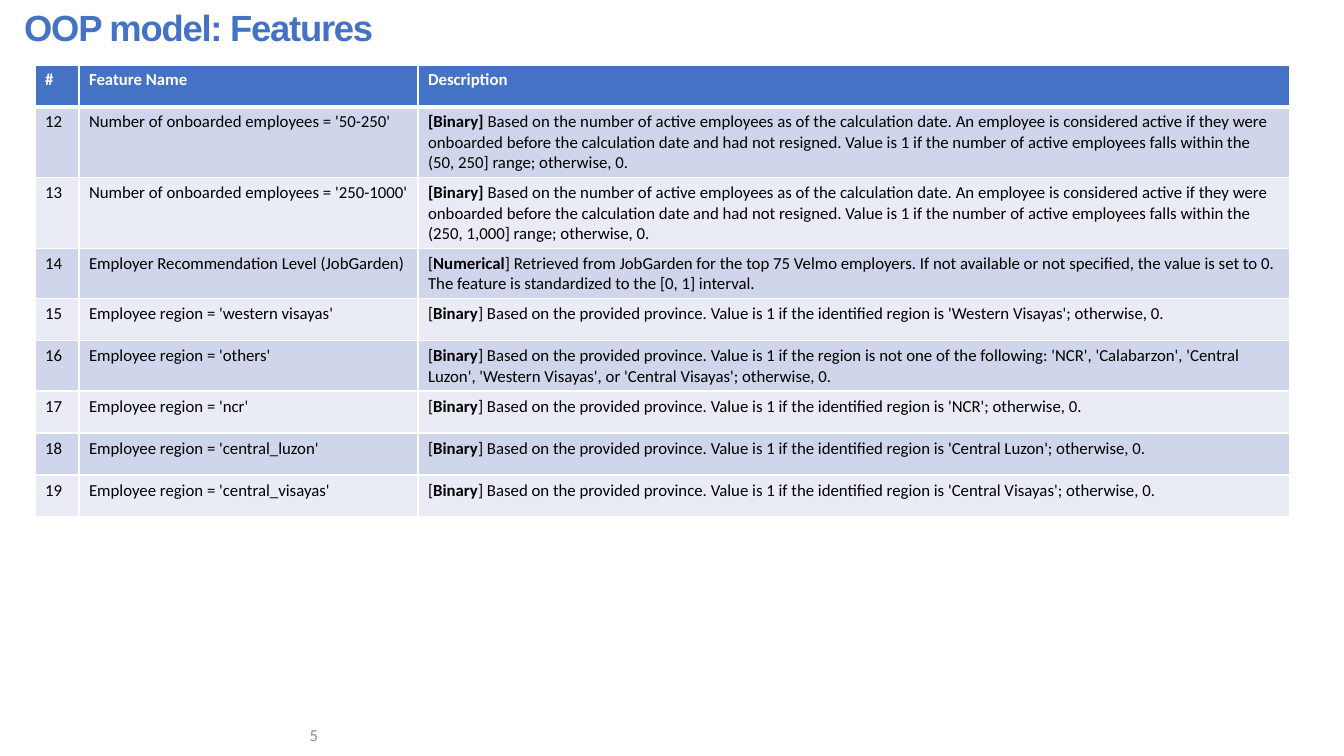
from lxml import etree
from pptx import Presentation, util as u
from pptx.dml.color import RGBColor
from pptx.enum import text
from pptx.oxml import ns

PX = 914400 / 100.8
TITLE = "OOP model: Features"
PAGE = "5"
HEADER = ("#", "Feature Name", "Description")
FIRST_NUMBER = 12

# Text between ** marks is bold.
HEADCOUNT = ("**[Binary]** Based on the number of active employees as of the calculation date. "
             "An employee is considered active if they were onboarded before the calculation date "
             "and had not resigned. Value is 1 if the number of active employees falls within the "
             "({}] range; otherwise, 0.")
PROVINCE = "[**Binary**] Based on the provided province. Value is 1 if the {}; otherwise, 0."
REGION = PROVINCE.format("identified region is '{}'")
FEATURES = [
    ("Number of onboarded employees = '50-250'", HEADCOUNT.format("50, 250")),
    ("Number of onboarded employees = '250-1000'", HEADCOUNT.format("250, 1,000")),
    ("Employer Recommendation Level (JobGarden)",
     "[**Numerical**] Retrieved from JobGarden for the top 75 Velmo employers. If not available "
     "or not specified, the value is set to 0. The feature is standardized to the [0, 1] interval."),
    ("Employee region = 'western visayas'", REGION.format("Western Visayas")),
    ("Employee region = 'others'",
     PROVINCE.format("region is not one of the following: 'NCR', 'Calabarzon', "
                     "'Central Luzon', 'Western Visayas', or 'Central Visayas'")),
    ("Employee region = 'ncr'", REGION.format("NCR")),
    ("Employee region = 'central_luzon'", REGION.format("Central Luzon")),
    ("Employee region = 'central_visayas'", REGION.format("Central Visayas")),
]

BLUE, WHITE, BLACK, GREY = "4472C4", "FFFFFF", "000000", "8C8C8C"
BANDS = ("CFD5EA", "E9EBF5")
COLUMNS = (44, 339, 872)
ROW = 42
TABLE_LEFT, TABLE_TOP = 35, 65


def px(*lengths):
    return [u.Emu(round(n * PX)) for n in lengths]


def rgb(value):
    return RGBColor.from_string(value)


def write(p, content, color, **font):
    """Add content to a paragraph, with the parts between ** marks in bold."""
    for i, part in enumerate(content.split("**")):
        if part:
            r = p.add_run()
            r.text = part
            for name, value in {"name": "Calibri", "size": u.Pt(12), "bold": i % 2 == 1, **font}.items():
                setattr(r.font, name, value)
            r.font.color.rgb = rgb(color)


def set_borders(cell, widths):
    """Draw white cell borders; widths in points are in the order left, right, top, bottom."""
    tc_pr = cell._tc.get_or_add_tcPr()
    for i, (side, width) in enumerate(zip("LRTB", widths)):
        ln = etree.Element(ns.qn(f"a:ln{side}"), w=str(u.Pt(width)))
        fill = etree.SubElement(ln, ns.qn("a:solidFill"))
        etree.SubElement(fill, ns.qn("a:srgbClr"), val=WHITE)
        tc_pr.insert(i, ln)


def add_title(s):
    title = s.shapes.title
    title.left, title.top, title.width, title.height = px(14, 0, 1280, 54)
    tf = title.text_frame
    tf.vertical_anchor = text.MSO_ANCHOR.BOTTOM
    p = tf.paragraphs[0]
    p.alignment = text.PP_ALIGN.LEFT
    write(p, TITLE, BLUE, name="Arial", size=u.Pt(26), bold=True)
    p.runs[0]._r.get_or_add_rPr().set("spc", "-90")


def add_features(s):
    rows = [HEADER] + [(str(n), *f) for n, f in enumerate(FEATURES, FIRST_NUMBER)]
    box = px(TABLE_LEFT, TABLE_TOP, sum(COLUMNS), ROW * len(rows))
    table = s.shapes.add_table(len(rows), len(COLUMNS), *box).table
    for column, width in zip(table.columns, px(*COLUMNS)):
        column.width = width
    for i, row in enumerate(rows):
        table.rows[i].height = px(ROW)[0]
        for j, content in enumerate(row):
            cell = table.cell(i, j)
            cell.fill.solid()
            cell.fill.fore_color.rgb = rgb(BANDS[(i - 1) % 2] if i else BLUE)
            set_borders(cell, (1, 1, 3 if i == 1 else 1, 1 if i else 3))
            p = cell.text_frame.paragraphs[0]
            if i:
                write(p, content, BLACK)
            else:
                write(p, content, WHITE, bold=True)


def add_page_number(s):
    tf = s.shapes.add_textbox(*px(34, 722, 294, 25)).text_frame
    tf.word_wrap = True
    tf.vertical_anchor = text.MSO_ANCHOR.MIDDLE
    p = tf.paragraphs[0]
    p.alignment = text.PP_ALIGN.RIGHT
    write(p, PAGE, GREY)


def main():
    prs = Presentation()
    prs.slide_width, prs.slide_height = px(1344, 756)
    s = prs.slides.add_slide(prs.slide_layouts[5])
    add_page_number(s)
    add_features(s)
    add_title(s)
    prs.save("out.pptx")


if __name__ == "__main__":
    main()
